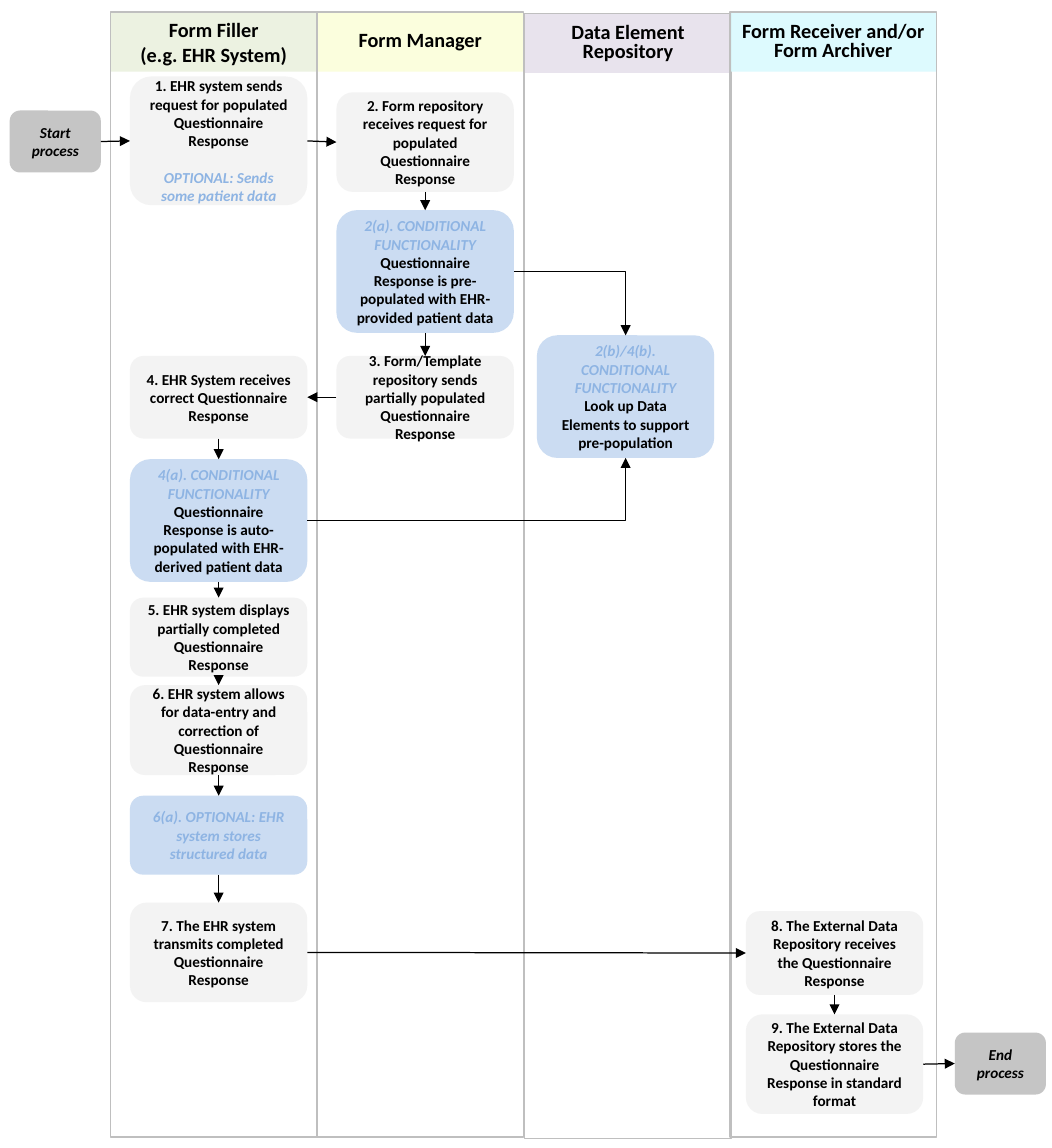
from lxml.etree import SubElement
from pptx import Presentation
from pptx.dml.color import RGBColor
from pptx.enum.shapes import MSO_CONNECTOR, MSO_SHAPE
from pptx.enum.text import MSO_ANCHOR, PP_ALIGN
from pptx.oxml.ns import qn
from pptx.util import Inches, Pt

COLORS = {
    "filler": "EBF1DE", "manager": "FBFEDA", "elements": "E6E0EC", "receiver": "DAFAFE",
    "step": "F2F2F2", "conditional": "C6D9F1", "terminal": "BFBFBF",
    "border": "BFBFBF", "text": "000000", "accent": "8EB4E3", "arrow": "000000",
}

TEXT_STYLES = {
    "heading": ({"size": Pt(12), "bold": True}, "text"),
    "plain": ({"size": Pt(9), "bold": True}, "text"),
    "note": ({"size": Pt(9), "bold": True, "italic": True}, "accent"),
    "terminal": ({"size": Pt(9), "bold": True, "italic": True}, "text"),
}

# Swimlanes: key, heading, line spacing, offset from the lane grid
LANES = [
    ("filler", "Form Filler\v(e.g. EHR System)", 1.0, 0),
    ("manager", "Form Manager", 0.8, 0),
    ("elements", "Data Element Repository", 0.8, 0.01),
    ("receiver", "Form Receiver and/or Form Archiver", 0.8, 0),
]
LANE_LEFT, LANE_TOP, LANE_WIDTH, LANE_HEIGHT, HEADING_HEIGHT = 0.91, 0.1, 1.7, 9.26, 0.49

# Columns of boxes: left, width
COLUMNS = {
    "start": (0.08, 0.75), "filler": (1.07, 1.46), "manager": (2.77, 1.46),
    "elements": (4.42, 1.46), "receiver": (6.14, 1.46), "end": (7.86, 0.75),
}

# Boxes: key -> column, top, height, fill, paragraphs of (style, text)
BOXES = {
    "start": ("start", 0.91, 0.51, "terminal", [("terminal", "Start process")]),
    "1": ("filler", 0.63, 1.06, "step", [
        ("plain", "1. EHR system sends request for populated Questionnaire Response"),
        ("note", "OPTIONAL: Sends some patient data")]),
    "2": ("manager", 0.76, 0.82, "step", [
        ("plain", "2. Form repository receives request for populated Questionnaire Response")]),
    "2a": ("manager", 1.73, 1.01, "conditional", [
        ("note", "2(a). CONDITIONAL FUNCTIONALITY"),
        ("plain", "Questionnaire Response is pre-populated with EHR-provided patient data")]),
    "lookup": ("elements", 2.76, 1.01, "conditional", [
        ("note", "2(b)/4(b). CONDITIONAL FUNCTIONALITY"),
        ("plain", "Look up Data Elements to support pre-population")]),
    "3": ("manager", 2.93, 0.68, "step", [
        ("plain", "3. Form/Template repository sends partially populated "
                  "Questionnaire Response")]),
    "4": ("filler", 2.93, 0.68, "step", [
        ("plain", "4. EHR System receives correct Questionnaire Response")]),
    "4a": ("filler", 3.78, 1.01, "conditional", [
        ("note", "4(a). CONDITIONAL FUNCTIONALITY"),
        ("plain", "Questionnaire Response is auto-populated with EHR-derived patient data")]),
    "5": ("filler", 4.92, 0.65, "step", [
        ("plain", "5. EHR system displays partially completed Questionnaire Response")]),
    "6": ("filler", 5.64, 0.74, "step", [
        ("plain", "6. EHR system allows for data-entry and correction of "
                  "Questionnaire Response")]),
    "6a": ("filler", 6.55, 0.65, "conditional", [
        ("note", "6(a). OPTIONAL: EHR system stores structured data")]),
    "7": ("filler", 7.43, 0.82, "step", [
        ("plain", "7. The EHR system transmits completed Questionnaire Response")]),
    "8": ("receiver", 7.5, 0.69, "step", [
        ("plain", "8. The External Data Repository receives the Questionnaire Response")]),
    "9": ("receiver", 8.35, 0.82, "step", [
        ("plain", "9. The External Data Repository stores the Questionnaire Response "
                  "in standard format")]),
    "end": ("end", 8.5, 0.51, "terminal", [("terminal", "End process")]),
}
SPACE_BEFORE_OPTION = {"1": Pt(11)}

# Connection sites of a box
TOP, LEFT, BOTTOM, RIGHT = range(4)
ARROWS = [
    ("start", RIGHT, "1", LEFT), ("1", RIGHT, "2", LEFT), ("2", BOTTOM, "2a", TOP),
    ("2a", BOTTOM, "3", TOP), ("3", LEFT, "4", RIGHT), ("4", BOTTOM, "4a", TOP),
    ("4a", BOTTOM, "5", TOP), ("5", BOTTOM, "6", TOP), ("6", BOTTOM, "6a", TOP),
    ("6a", BOTTOM, "7", TOP), ("7", RIGHT, "8", LEFT), ("8", BOTTOM, "9", TOP),
    ("9", RIGHT, "end", LEFT), ("2a", RIGHT, "lookup", TOP), ("4a", RIGHT, "lookup", BOTTOM),
]


def rgb(name):
    """Return the named colour."""
    return RGBColor.from_string(COLORS[name])


def add_panel(slide, kind, left, top, width, height, fill=None):
    """Add a shape with a translucent fill, or an empty one with a border."""
    shape = slide.shapes.add_shape(kind, *map(Inches, (left, top, width, height)))
    shape.shadow.inherit = False
    if fill:
        shape.fill.solid()
        shape.fill.fore_color.rgb = rgb(fill)
        color = shape.fill._xPr.find(".//" + qn("a:srgbClr"))
        SubElement(color, qn("a:alpha"), val="90000")
        shape.line.fill.background()
    else:
        shape.fill.background()
        shape.line.color.rgb = rgb("border")
        shape.line.width = Pt(0.75)
    return shape


def write_text(shape, paragraphs, line_spacing=1.0, space_before=Pt(0)):
    """Write centred paragraphs; space_before applies after the first."""
    frame = shape.text_frame
    frame.word_wrap = True
    frame.vertical_anchor = MSO_ANCHOR.MIDDLE
    for index, (style, text) in enumerate(paragraphs):
        paragraph = frame.add_paragraph() if index else frame.paragraphs[0]
        paragraph.text = text
        paragraph.alignment = PP_ALIGN.CENTER
        paragraph.line_spacing = line_spacing
        if index:
            paragraph.space_before = space_before
        formats, color = TEXT_STYLES[style]
        for run in paragraph.runs:
            for name, value in {"name": "Calibri", **formats}.items():
                setattr(run.font, name, value)
            run.font.color.rgb = rgb(color)
        for line_break in paragraph._p.findall(qn("a:br")):
            SubElement(line_break, qn("a:rPr"), sz=str(int(formats["size"].pt * 100)))


def add_arrow(slide, source, source_site, target, target_site):
    """Join two boxes, with one bend where the sites face different axes."""
    bent = source_site % 2 != target_site % 2
    kind = MSO_CONNECTOR.ELBOW if bent else MSO_CONNECTOR.STRAIGHT
    arrow = slide.shapes.add_connector(kind, 0, 0, 0, 0)
    arrow.begin_connect(source, source_site)
    arrow.end_connect(target, target_site)
    arrow.line.color.rgb = rgb("arrow")
    arrow.line.width = Pt(0.75)
    properties = arrow._element.spPr
    if bent:
        properties.find(qn("a:prstGeom")).set("prst", "bentConnector2")
    SubElement(arrow.line._get_or_add_ln(), qn("a:tailEnd"), type="triangle")
    SubElement(properties, qn("a:effectLst"))


presentation = Presentation()
presentation.slide_width = Inches(8.66)
presentation.slide_height = Inches(9.45)
slide = presentation.slides.add_slide(presentation.slide_layouts[6])

for index, (key, heading, spacing, offset) in enumerate(LANES):
    left, top = LANE_LEFT + index * LANE_WIDTH + offset, LANE_TOP + offset
    header = add_panel(slide, MSO_SHAPE.RECTANGLE, left, top, LANE_WIDTH, HEADING_HEIGHT, key)
    write_text(header, [("heading", heading)], spacing)
    add_panel(slide, MSO_SHAPE.RECTANGLE, left, top, LANE_WIDTH, LANE_HEIGHT)

boxes = {}
for key, (column, top, height, fill, paragraphs) in BOXES.items():
    left, width = COLUMNS[column]
    boxes[key] = add_panel(slide, MSO_SHAPE.ROUNDED_RECTANGLE, left, top, width, height, fill)
    write_text(boxes[key], paragraphs, space_before=SPACE_BEFORE_OPTION.get(key, Pt(0)))

for source, source_site, target, target_site in ARROWS:
    add_arrow(slide, boxes[source], source_site, boxes[target], target_site)

presentation.save("out.pptx")
